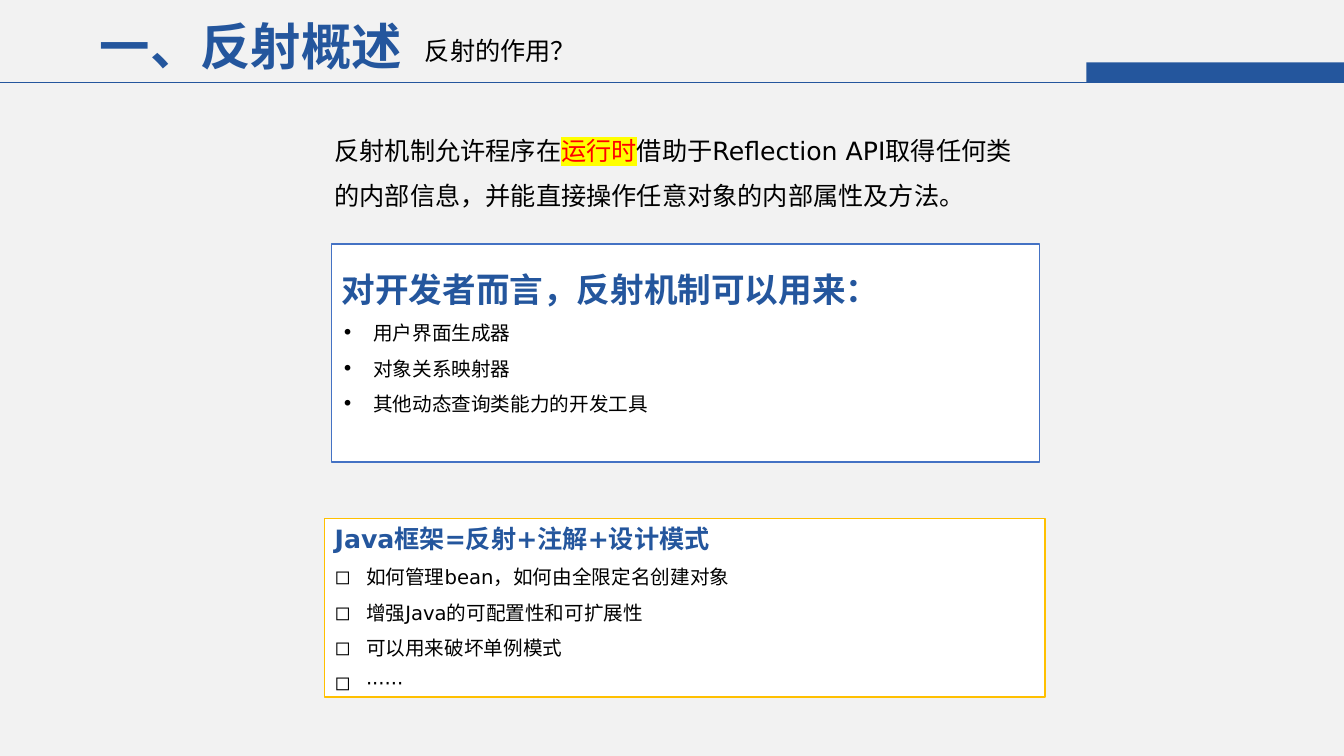
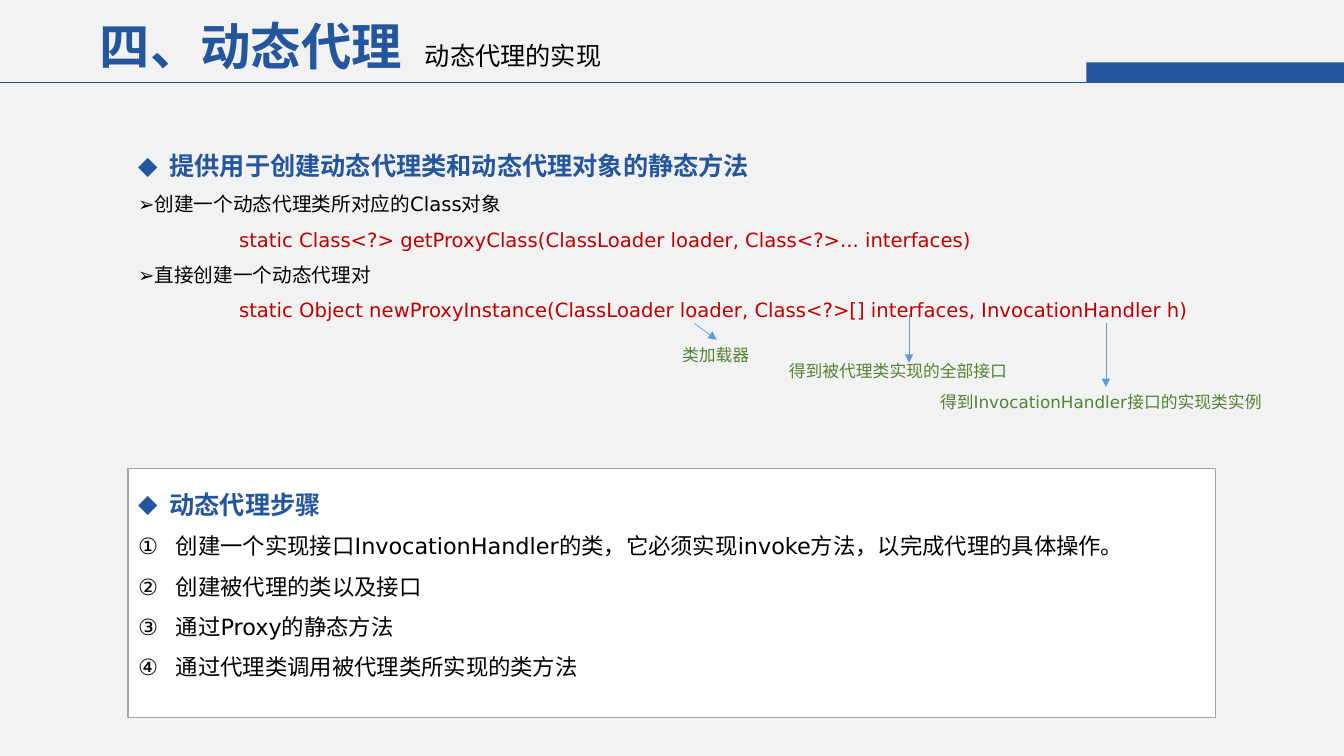
from lxml import etree
from pptx import Presentation
from pptx.dml.color import RGBColor
from pptx.enum.dml import MSO_LINE
from pptx.enum.shapes import MSO_CONNECTOR, MSO_SHAPE
from pptx.enum.text import MSO_ANCHOR, MSO_AUTO_SIZE, PP_ALIGN
from pptx.oxml.ns import qn
from pptx.util import Cm, Pt

SOLID = MSO_LINE.SOLID
STRAIGHT = MSO_CONNECTOR.STRAIGHT
RECTANGLE = MSO_SHAPE.RECTANGLE
TOP = MSO_ANCHOR.TOP
NO_FIT = MSO_AUTO_SIZE.NONE
LEFT = PP_ALIGN.LEFT

FONT = "DejaVu Sans"
BLUE, BLACK, WHITE = "24569D", "000000", "FFFFFF"
RED, CODE_RED, GREEN = "FF0000", "C00000", "548235"
YELLOW, GOLD, GRAY = "FFFF00", "FFC000", "A5A5A5"
BORDER_BLUE, ARROW_BLUE, PAPER = "4472C4", "5B9BD5", "F2F2F2"
PAGE_WIDTH, PAGE_HEIGHT = 33.87, 19.05
TWO_CONTENT = 3
TOP_SIDE = 0


def rgb(color):
    return RGBColor.from_string(color)


def place(shape, left, top, width, height):
    shape.left, shape.top = Cm(left), Cm(top)
    shape.width, shape.height = Cm(width), Cm(height)


def add_span(para, text, size=14, color=BLACK, bold=False, highlight=None):
    span = para.add_run()
    span.text = text
    font = span.font
    font.size, font.bold, font.name = Pt(size), bold, FONT
    font.color.rgb = rgb(color)
    properties = span._r.get_or_add_rPr()
    latin = properties.find(qn("a:latin"))
    if highlight:
        marker = etree.Element(qn("a:highlight"))
        etree.SubElement(marker, qn("a:srgbClr"), val=highlight)
        latin.addprevious(marker)
    latin.addnext(etree.Element(qn("a:ea"), typeface=FONT))


def add_para(box, *spans, spacing=1.5, bullet=None, number=None,
             indent=0.0, hanging=0.0, **style):
    """Add a paragraph; a span is a text or a (text, own format) pair."""
    frame = box.text_frame
    para = frame.paragraphs[0]
    if para.runs:
        para = frame.add_paragraph()
    para.alignment = LEFT
    para.line_spacing = spacing
    para.space_before = para.space_after = Pt(0)
    properties = para._p.get_or_add_pPr()
    properties.set("marL", str(Cm(indent + hanging)))
    properties.set("indent", str(-Cm(hanging)))
    if number:
        etree.SubElement(properties, qn("a:buFont"), typeface=FONT)
        etree.SubElement(properties, qn("a:buAutoNum"), type=number)
    elif bullet:
        etree.SubElement(properties, qn("a:buFont"), typeface=FONT)
        etree.SubElement(properties, qn("a:buChar"), char=bullet)
    else:
        etree.SubElement(properties, qn("a:buNone"))
    for span in spans:
        text, own = (span, {}) if isinstance(span, str) else span
        add_span(para, text, **{**style, **own})


class Slides:
    """Holds the deck, its shared style and the current page."""

    def __init__(self):
        self.deck = Presentation()
        self.deck.slide_width = Cm(PAGE_WIDTH)
        self.deck.slide_height = Cm(PAGE_HEIGHT)
        self.layout = self.deck.slide_layouts[TWO_CONTENT]
        fill = self.layout.background.fill
        fill.solid()
        fill.fore_color.rgb = rgb(PAPER)
        title, _, _, *footers = self.layout.placeholders
        place(title, 2.26, 0.25, 8.2, 1.8)
        for footer in footers:
            self.layout.shapes.element.remove(footer.element)
        self.page = None

    def add_page(self, title, subtitle, subtitle_top, subtitle_width):
        self.page = self.deck.slides.add_slide(self.layout)
        if len(self.deck.slides) == 1:
            self.decorate_layout()
        box = self.page.shapes.title
        self.set_frame(box, wrap=False)
        add_para(box, title, spacing=1.0, size=36, color=BLUE, bold=True)
        self.add_label(subtitle, 10.46, subtitle_top, subtitle_width, 1.02,
                       size=18)

    def decorate_layout(self):
        """Draw the band and rule, then move them to the shared layout."""
        band = self.page.shapes.add_shape(
            RECTANGLE, Cm(27.38), Cm(1.57), Cm(6.49), Cm(0.51))
        band.shadow.inherit = False
        band.fill.solid()
        band.fill.fore_color.rgb = rgb(BLUE)
        band.line.fill.background()
        rule = self.add_line((0, 2.08), (PAGE_WIDTH, 2.08), BLUE)
        for shape in (band, rule):
            self.layout.shapes.element.append(shape.element)

    def set_frame(self, box, wrap=True):
        frame = box.text_frame
        frame.word_wrap = wrap
        frame.auto_size = NO_FIT
        frame.vertical_anchor = TOP

    def add_text_box(self, left, top, width, height, wrap=True):
        box = self.page.shapes.add_textbox(
            Cm(left), Cm(top), Cm(width), Cm(height))
        self.set_frame(box, wrap)
        return box

    def add_label(self, text, left, top, width, height=0.76, **style):
        box = self.add_text_box(left, top, width, height, wrap=False)
        add_para(box, text, spacing=1.0, **style)
        return box

    def body(self, index, left, top, width, height, border=None):
        """Return a body placeholder, as a white panel if it has a border."""
        box = self.page.placeholders[index]
        place(box, left, top, width, height)
        self.set_frame(box)
        if border:
            box.fill.solid()
            box.fill.fore_color.rgb = rgb(WHITE)
            box.line.color.rgb = rgb(border)
            box.line.width = Pt(1)
        return box

    def add_line(self, start, end, color):
        line = self.page.shapes.add_connector(
            STRAIGHT, *(Cm(value) for value in (*start, *end)))
        line.line.color.rgb = rgb(color)
        line.line.width = Pt(0.5)
        line.line.dash_style = SOLID
        etree.SubElement(line.element.spPr, qn("a:effectLst"))
        return line

    def add_arrow(self, start, end, target=None):
        arrow = self.add_line(start, end, ARROW_BLUE)
        outline = arrow.element.spPr.find(qn("a:ln"))
        etree.SubElement(outline, qn("a:tailEnd"), type="triangle")
        if target is not None:
            arrow.end_connect(target, TOP_SIDE)


def build_overview(slides):
    slides.add_page("一、反射概述", "反射的作用？", 0.76, 4.37)
    intro = slides.add_text_box(8.18, 2.9, 18.16, 2.41)
    add_para(intro, "反射机制允许程序在",
             ("运行时", {"color": RED, "highlight": YELLOW}),
             "借助于Reflection API取得任何类的内部信息，"
             "并能直接操作任意对象的内部属性及方法。", size=18)

    uses = slides.body(1, 8.36, 6.15, 17.83, 5.49, border=BORDER_BLUE)
    add_para(uses, "对开发者而言，反射机制可以用来：",
             size=24, color=BLUE, bold=True)
    for text in ("用户界面生成器", "对象关系映射器",
                 "其他动态查询类能力的开发工具"):
        add_para(uses, text, bullet="•", hanging=0.79)

    framework = slides.body(2, 8.18, 13.06, 18.16, 4.5, border=GOLD)
    add_para(framework, "Java框架=反射+注解+设计模式",
             spacing=1.0, size=18, color=BLUE, bold=True)
    for text in ("如何管理bean，如何由全限定名创建对象",
                 "增强Java的可配置性和可扩展性",
                 "可以用来破坏单例模式", "······"):
        add_para(framework, text, bullet="◻", hanging=0.79)


def build_dynamic_proxy(slides):
    slides.add_page("四、动态代理", "动态代理的实现", 0.89, 5)
    heading = {"bullet": "◆", "hanging": 0.79, "size": 18,
               "color": BLUE, "bold": True}

    methods = slides.body(1, 3.23, 3.28, 28.52, 4.88)
    add_para(methods, "提供用于创建动态代理类和动态代理对象的静态方法", **heading)
    for purpose, signature in (
        ("➢创建一个动态代理类所对应的Class对象",
         "static Class<?> getProxyClass(ClassLoader loader, "
         "Class<?>... interfaces)"),
        ("➢直接创建一个动态代理对",
         "static Object newProxyInstance(ClassLoader loader, "
         "Class<?>[] interfaces, InvocationHandler h)"),
    ):
        add_para(methods, purpose)
        add_para(methods, signature, indent=2.54, color=CODE_RED)

    steps = slides.body(2, 3.23, 11.81, 27.41, 6.27, border=GRAY)
    add_para(steps, "动态代理步骤", **heading)
    for text in ("创建一个实现接口InvocationHandler的类，"
                 "它必须实现invoke方法，以完成代理的具体操作。",
                 "创建被代理的类以及接口", "通过Proxy的静态方法",
                 "通过代理类调用被代理类所实现的类方法"):
        add_para(steps, text, number="circleNumDbPlain", hanging=0.95, size=16)

    note = {"size": 12, "color": GREEN}
    loader = slides.add_label("类加载器", 16.94, 8.56, 2.24, **note)
    slides.add_label("得到被代理类实现的全部接口", 19.63, 8.97, 6.07, **note)
    handler = slides.add_label("得到InvocationHandler接口的实现类实例",
                               23.44, 9.75, 8.86, **note)
    slides.add_arrow((17.5, 8.15), (18.06, 8.56), loader)
    slides.add_arrow((22.91, 7.9), (22.91, 9.14))
    slides.add_arrow((27.87, 8.15), (27.87, 9.75), handler)


def main():
    slides = Slides()
    build_overview(slides)
    build_dynamic_proxy(slides)
    slides.deck.save("out.pptx")


if __name__ == "__main__":
    main()
